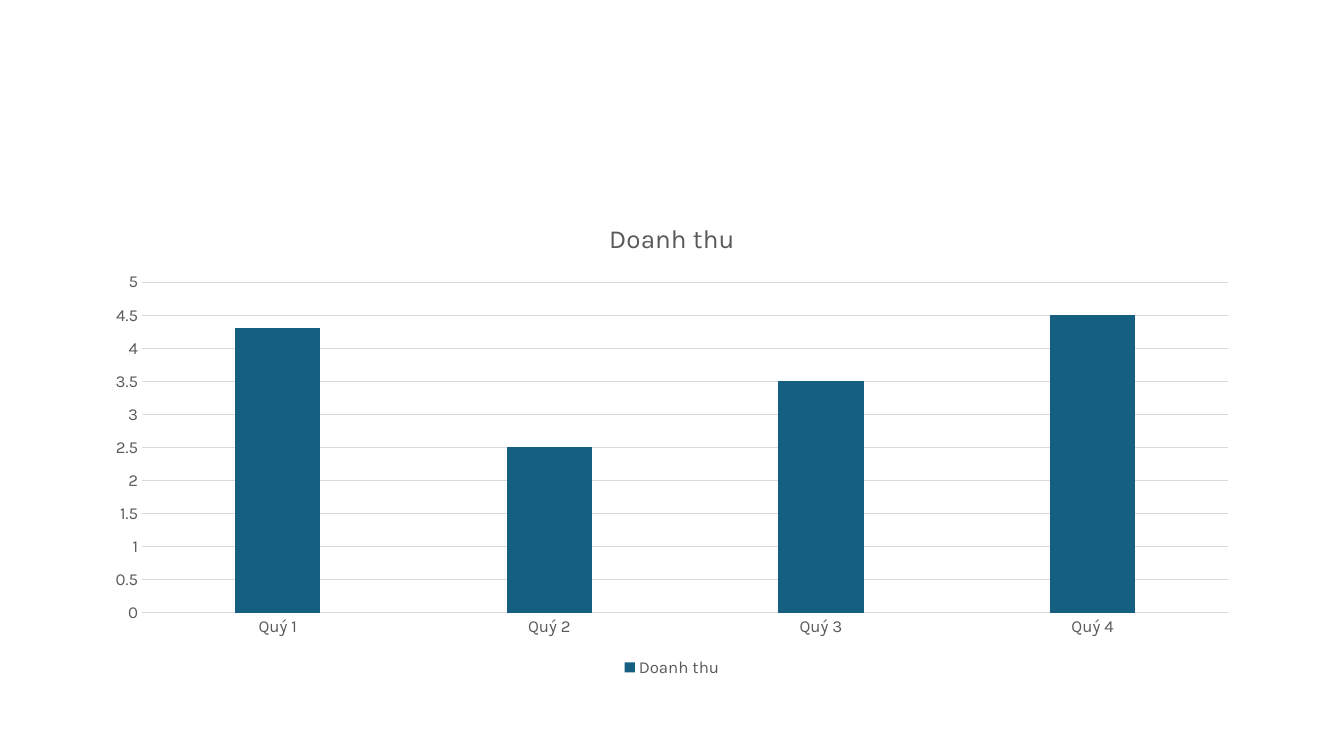
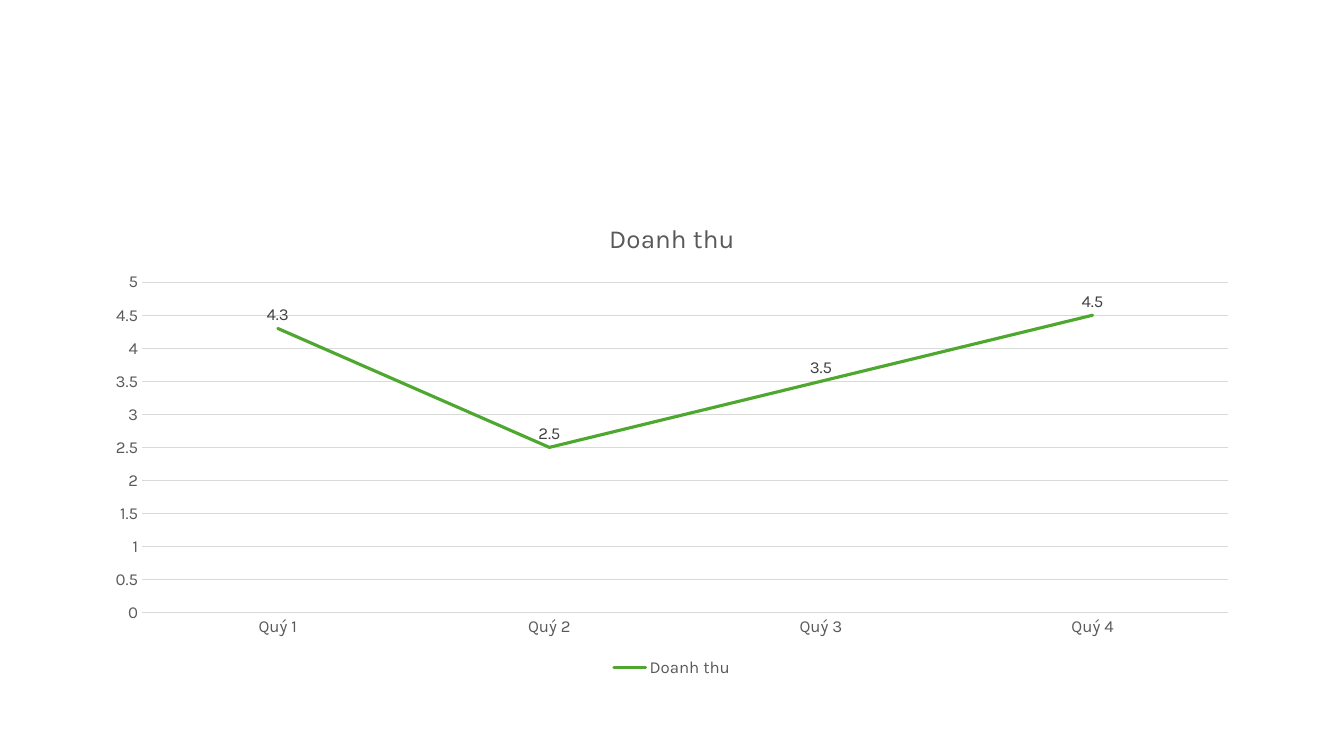
from pptx import Presentation
from pptx.chart.data import CategoryChartData
from pptx.dml.color import RGBColor
from pptx.enum.chart import (XL_CHART_TYPE, XL_LABEL_POSITION,
                             XL_LEGEND_POSITION, XL_MARKER_STYLE, XL_TICK_MARK)
from pptx.util import Pt

PX = 9525  # 96 px to the inch
FONT = "Karla"
COLORS = {"text": "595959", "label": "404040", "grid": "D9D9D9",
          "bar": "156082", "line": "4EA72E"}
NAME = "Doanh thu"
CATS = ["Quý 1", "Quý 2", "Quý 3", "Quý 4"]
VALS = [4.3, 2.5, 3.5, 4.5]


def style(font, size, color="text"):
    font.name, font.size, font.bold = FONT, Pt(size), False
    font.color.rgb = RGBColor.from_string(COLORS[color])


def stroke(line, color, width):
    line.color.rgb = RGBColor.from_string(COLORS[color])
    line.width = Pt(width)


deck = Presentation()
deck.slide_width, deck.slide_height = 1280 * PX, 720 * PX

# The same quarterly data, as columns and as a line
for kind in (XL_CHART_TYPE.COLUMN_CLUSTERED, XL_CHART_TYPE.LINE):
    slide = deck.slides.add_slide(deck.slide_layouts[6])
    data = CategoryChartData()
    data.categories = CATS
    data.add_series(NAME, VALS)
    box = [n * PX for n in (88, 192, 1104, 457)]
    chart = slide.shapes.add_chart(kind, *box, data).chart
    style(chart.font, 12)

    # Title and legend
    chart.has_title = True
    frame = chart.chart_title.text_frame
    frame.text = NAME
    style(frame.paragraphs[0].runs[0].font, 18.6)
    chart.chart_title.include_in_layout = False
    chart.has_legend = True
    chart.legend.position = XL_LEGEND_POSITION.BOTTOM
    chart.legend.include_in_layout = False
    style(chart.legend.font, 12)

    # Axes
    for axis in (chart.category_axis, chart.value_axis):
        axis.major_tick_mark = axis.minor_tick_mark = XL_TICK_MARK.NONE
        style(axis.tick_labels.font, 12)
    stroke(chart.category_axis.format.line, "grid", 0.75)
    scale = chart.value_axis
    scale.minimum_scale, scale.maximum_scale, scale.major_unit = 0, 5, 0.5
    scale.format.line.fill.background()
    scale.has_major_gridlines = True
    stroke(scale.major_gridlines.format.line, "grid", 0.75)

    # Series
    plot = chart.plots[0]
    plot.vary_by_categories = False
    series = plot.series[0]
    if kind == XL_CHART_TYPE.COLUMN_CLUSTERED:
        plot.gap_width, plot.overlap = 219, -27
        series.format.fill.solid()
        series.format.fill.fore_color.rgb = RGBColor.from_string(COLORS["bar"])
    else:
        series.smooth = False
        series.marker.style = XL_MARKER_STYLE.NONE
        stroke(series.format.line, "line", 2.25)
        series.format.line._ln.set("cap", "rnd")
        labels = series.data_labels
        labels.show_value = True
        labels.position = XL_LABEL_POSITION.ABOVE
        style(labels.font, 12, "label")

deck.save("out.pptx")
